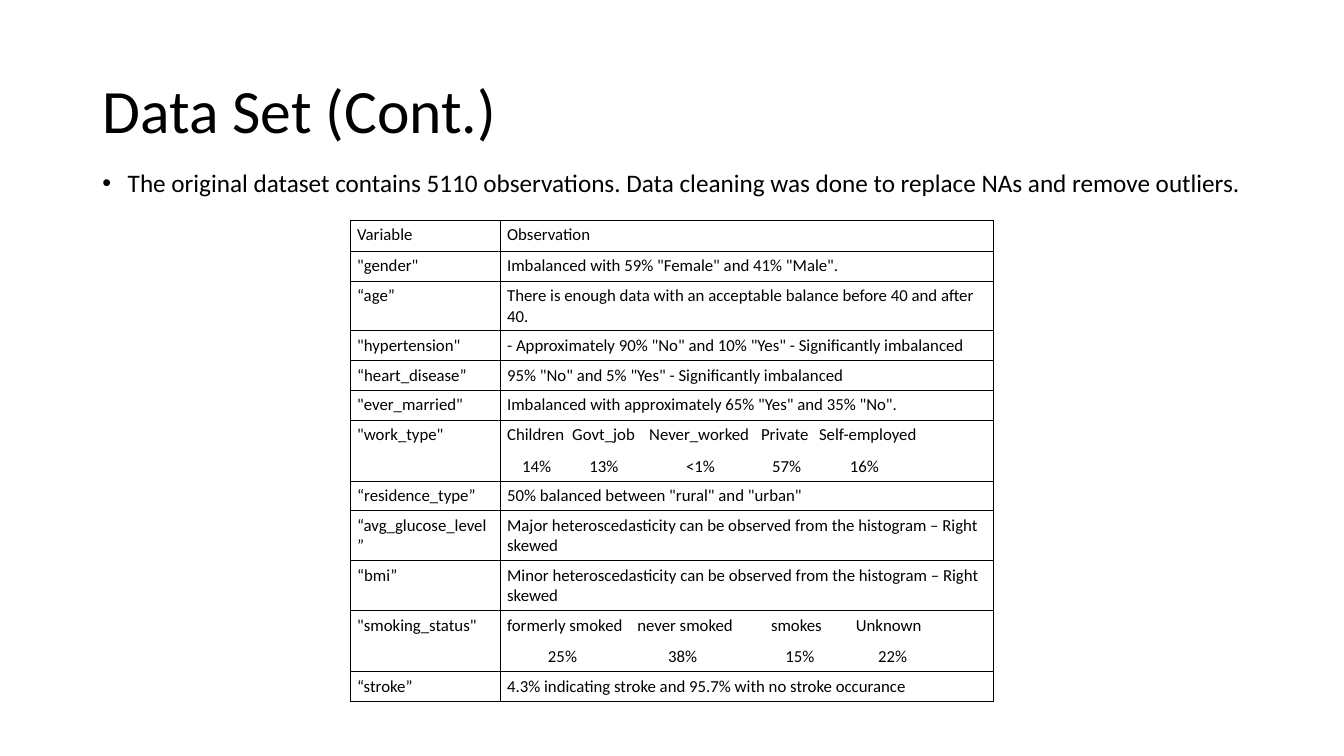
from lxml import etree
from pptx import Presentation
from pptx.dml.color import RGBColor
from pptx.enum.text import MSO_ANCHOR
from pptx.oxml.ns import qn
from pptx.util import Cm, Pt

MIDDLE = MSO_ANCHOR.MIDDLE
FONT = "Calibri"
BLACK = "000000"
BORDER_SIDES = ("lnL", "lnR", "lnT", "lnB")
ROW_HEIGHTS = {"header": 0.79, "single": 0.74, "wrapped": 1.24, "columns": 1.52}

# Each line of an observation is a list of (offset in cm, text) pieces.
ROWS = [
    ("header", "Variable", [[(0, "Observation")]]),
    ("single", '"gender"', [[(0, 'Imbalanced with 59% "Female" and 41% "Male".')]]),
    ("wrapped", "“age”",
     [[(0, "There is enough data with an acceptable balance before 40 and after 40.")]]),
    ("single", '"hypertension"',
     [[(0, '- Approximately 90% "No" and 10% "Yes" - Significantly imbalanced')]]),
    ("single", "“heart_disease”",
     [[(0, '95% "No" and 5% "Yes" - Significantly imbalanced')]]),
    ("single", '"ever_married"',
     [[(0, 'Imbalanced with approximately 65% "Yes" and 35% "No".')]]),
    ("columns", '"work_type"', [
        [(0, "Children"), (1.64, "Govt_job"), (3.58, "Never_worked"),
         (6.4, "Private"), (7.86, "Self-employed")],
        [(0.38, "14%"), (2.07, "13%"), (4.51, "<1%"), (6.68, "57%"), (8.64, "16%")],
    ]),
    ("single", "“residence_type”", [[(0, '50% balanced between "rural" and "urban"')]]),
    ("wrapped", "“avg_glucose_level”",
     [[(0, "Major heteroscedasticity can be observed from the histogram – Right skewed")]]),
    ("wrapped", "“bmi”",
     [[(0, "Minor heteroscedasticity can be observed from the histogram – Right skewed")]]),
    ("columns", '"smoking_status"', [
        [(0, "formerly smoked"), (3.28, "never smoked"), (6.65, "smokes"), (8.79, "Unknown")],
        [(1.03, "25%"), (4.06, "38%"), (7.01, "15%"), (9.35, "22%")],
    ]),
    ("single", "“stroke”",
     [[(0, "4.3% indicating stroke and 95.7% with no stroke occurance")]]),
]


def add_span(para, text, size):
    span = para.add_run()
    span.text = text
    span.font.name = FONT
    span.font.size = Pt(size)
    span.font.color.rgb = RGBColor.from_string(BLACK)


def add_child(parent, tag, **attributes):
    """Append a DrawingML element that python-pptx has no method for."""
    values = {name: str(value) for name, value in attributes.items()}
    return etree.SubElement(parent, qn(f"a:{tag}"), values)


deck = Presentation()
deck.slide_width = Cm(33.87)
deck.slide_height = Cm(19.05)
page = deck.slides.add_slide(deck.slide_layouts[6])

title_box = page.shapes.add_textbox(Cm(2.33), Cm(1.01), Cm(29.21), Cm(3.68))
title_box.text_frame.word_wrap = True
title_box.text_frame.vertical_anchor = MIDDLE
title = title_box.text_frame.paragraphs[0]
title.line_spacing = 0.9
add_span(title, "Data Set (Cont.)", 44)

body_box = page.shapes.add_textbox(Cm(2.33), Cm(4.17), Cm(29.21), Cm(12.09))
body_box.text_frame.word_wrap = True
bullet = body_box.text_frame.paragraphs[0]
bullet.line_spacing = 0.9
bullet.space_before = Pt(10)
add_span(bullet, "The original dataset contains 5110 observations. "
         "Data cleaning was done to replace NAs and remove outliers.", 18)
bullet_format = bullet._p.get_or_add_pPr()
bullet_format.set("marL", str(Cm(0.64)))
bullet_format.set("indent", str(Cm(-0.64)))
add_child(bullet_format, "buFont", typeface="Arial")
add_child(bullet_format, "buChar", char="•")

table = page.shapes.add_table(len(ROWS), 2, Cm(8.82), Cm(5.54), Cm(16.2), Cm(12.24)).table
table.first_row = False
table.horz_banding = False
table.columns[0].width = Cm(3.78)
table.columns[1].width = Cm(12.42)

for row_index, (row_kind, variable, observation) in enumerate(ROWS):
    table.rows[row_index].height = Cm(ROW_HEIGHTS[row_kind])
    for column_index, lines in enumerate(([[(0, variable)]], observation)):
        cell = table.cell(row_index, column_index)
        cell.margin_left = cell.margin_right = Cm(0.18)
        cell.margin_top = cell.margin_bottom = Cm(0.12)
        cell_format = cell._tc.get_or_add_tcPr()
        for side in BORDER_SIDES:
            border = add_child(cell_format, side, w=Pt(0.5))
            add_child(add_child(border, "solidFill"), "srgbClr", val=BLACK)
        cell.fill.background()

        for line_index, pieces in enumerate(lines):
            frame = cell.text_frame
            para = frame.add_paragraph() if line_index else frame.paragraphs[0]
            para.space_after = Pt(8)
            stops = [offset for offset, text in pieces if offset]
            if stops:
                tab_list = add_child(para._p.get_or_add_pPr(), "tabLst")
                for stop in stops:
                    add_child(tab_list, "tab", pos=Cm(stop), algn="l")
            for offset, text in pieces:
                add_span(para, "\t" + text if offset else text, 12)

deck.save("out.pptx")
